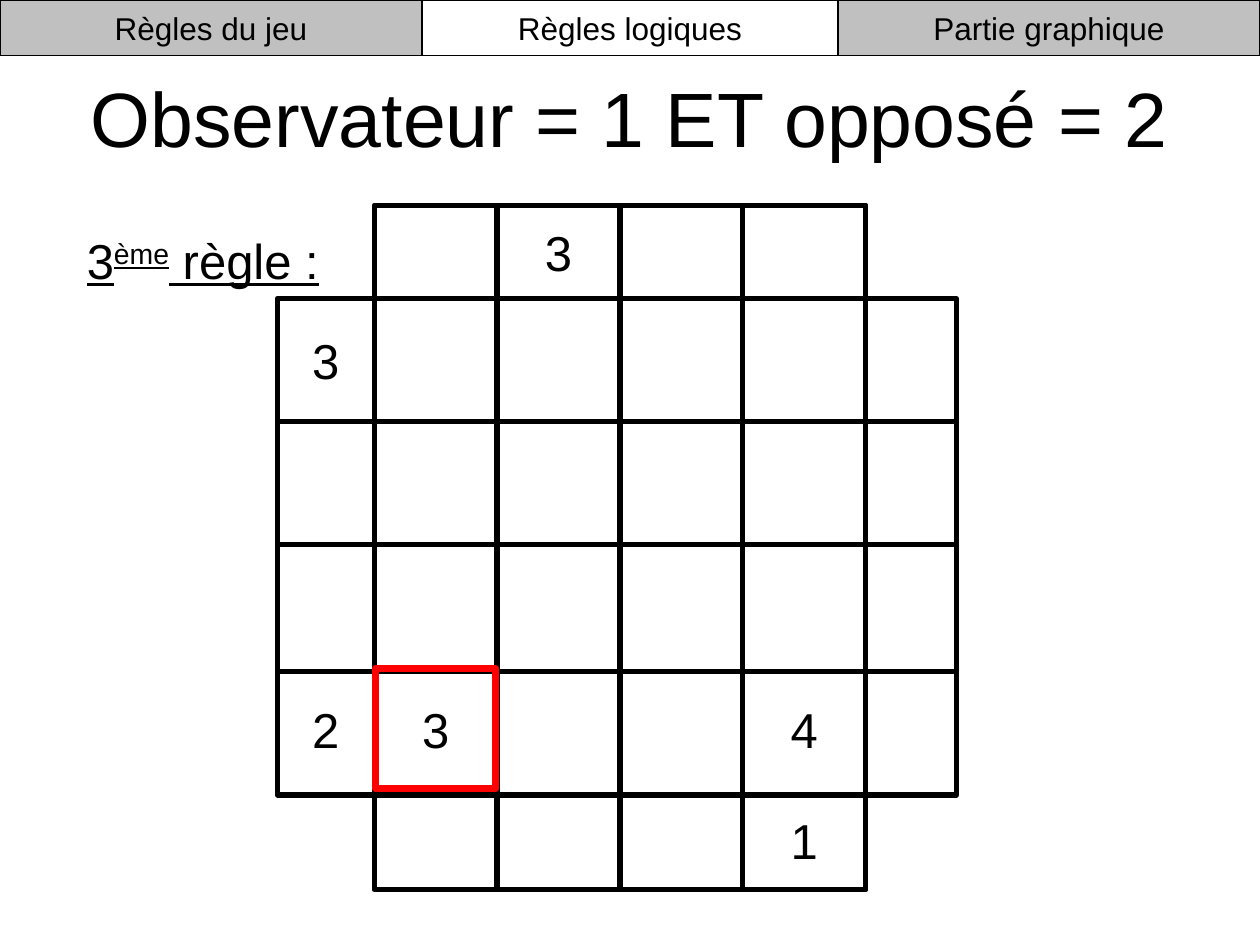
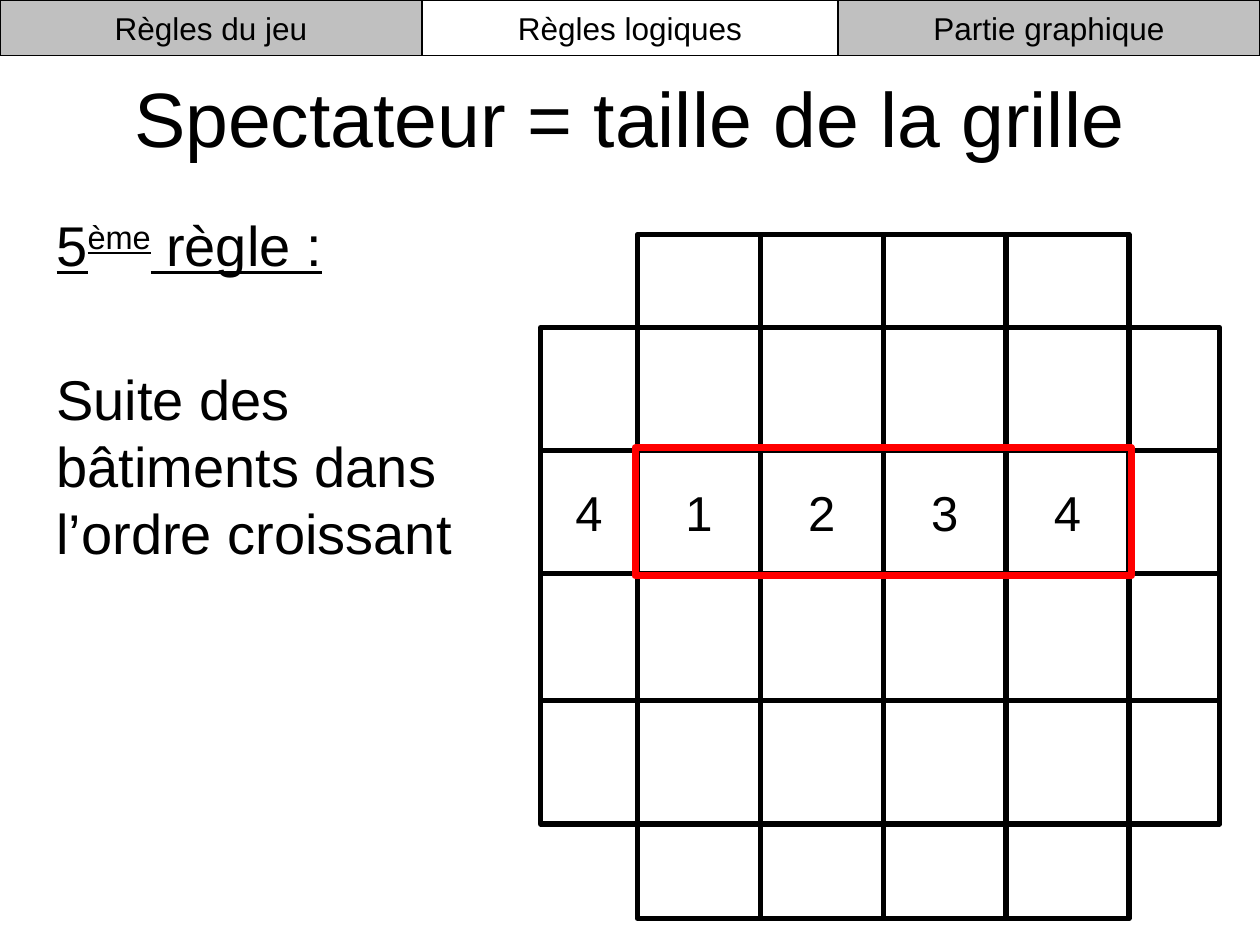
from lxml.etree import SubElement
from pptx import Presentation
from pptx.dml.color import RGBColor
from pptx.enum.shapes import MSO_CONNECTOR, MSO_SHAPE
from pptx.enum.text import MSO_ANCHOR, PP_ALIGN
from pptx.oxml.ns import qn
from pptx.util import Inches, Pt

FONT = "Arial"
BLACK, WHITE, GREY, RED = "000000", "FFFFFF", "C0C0C0", "FF0000"
DIGIT_SIZE = 28

GRID_SIZE = 4
CELL = 0.975
SIDE = 0.77
TOP = 0.74
INNER = GRID_SIZE * CELL
GRID_WIDTH = 5.39
GRID_HEIGHT = 5.43

TAB_HEIGHT = 0.44
TABS = [
    ("Règles logiques", 0, 10, WHITE),
    ("Règles du jeu", 0, 3.35, GREY),
    ("Partie graphique", 6.65, 3.35, GREY),
]


def color(value):
    return RGBColor.from_string(value)


def add_run(paragraph, text, size, underline=None, baseline=None):
    run = paragraph.add_run()
    run.text = text
    run.font.name = FONT
    run.font.size = Pt(size)
    run.font.color.rgb = color(BLACK)
    run.font.underline = underline
    if baseline:
        run.font._element.set("baseline", str(baseline * 1000))


def prepare_frame(shape, anchor, alignment):
    frame = shape.text_frame
    frame.word_wrap = True
    frame.vertical_anchor = anchor
    paragraph = frame.paragraphs[0]
    paragraph.alignment = alignment
    return paragraph


def add_text(slide, box, text, size, centred=False):
    shape = slide.shapes.add_textbox(*map(Inches, box))
    anchor = MSO_ANCHOR.MIDDLE if centred else MSO_ANCHOR.TOP
    alignment = PP_ALIGN.CENTER if centred else PP_ALIGN.LEFT
    paragraph = prepare_frame(shape, anchor, alignment)
    if text:
        add_run(paragraph, text, size)
    return paragraph


def add_rectangle(slide, box, line, width, fill=None, text="", size=DIGIT_SIZE):
    shape = slide.shapes.add_shape(MSO_SHAPE.RECTANGLE, *map(Inches, box))
    shape.shadow.inherit = False
    shape.line.color.rgb = color(line)
    shape.line.width = Pt(width)
    if fill:
        shape.fill.solid()
        shape.fill.fore_color.rgb = color(fill)
    else:
        shape.fill.background()
    if text:
        paragraph = prepare_frame(shape, MSO_ANCHOR.MIDDLE, PP_ALIGN.CENTER)
        add_run(paragraph, text, size)


def add_line(slide, start, end, width):
    ends = map(Inches, (*start, *end))
    line = slide.shapes.add_connector(MSO_CONNECTOR.STRAIGHT, *ends)
    line.line.color.rgb = color(BLACK)
    line.line.width = Pt(width)
    SubElement(line._element.spPr, qn("a:effectLst"))


def add_grid(slide, left, top):
    inner_top = top + TOP
    outer_left = left - SIDE
    boxes = [
        (left, top, INNER, GRID_HEIGHT),
        (left + CELL, top, CELL, GRID_HEIGHT),
        (left + 3 * CELL, top, CELL, GRID_HEIGHT),
        (outer_left, inner_top, GRID_WIDTH, INNER + 0.04),
        (outer_left, inner_top + CELL, GRID_WIDTH, CELL),
    ]
    for box in boxes:
        add_rectangle(slide, box, BLACK, 3)
    divider = top + 3.7
    add_line(slide, (outer_left, divider), (outer_left + GRID_WIDTH, divider), 3)


def band_centre(index, before, after):
    if index < 0:
        return -before / 2
    if index == GRID_SIZE:
        return INNER + after / 2
    return (index + 0.5) * CELL


def add_digit(slide, left, top, column, row, digit):
    inside = column in range(GRID_SIZE) and row in range(GRID_SIZE)
    width, height = (0.95, 0.95) if inside else (0.71, 0.57)
    x = left + band_centre(column, SIDE, GRID_WIDTH - SIDE - INNER)
    y = top + TOP + band_centre(row, TOP, GRID_HEIGHT - TOP - INNER)
    box = (x - width / 2, y - height / 2, width, height)
    add_text(slide, box, digit, DIGIT_SIZE, centred=True)


def add_highlight(slide, left, top, column, row, columns, margin, text=""):
    box = (
        left + column * CELL - margin,
        top + TOP + row * CELL - margin,
        columns * CELL + 2 * margin,
        CELL + 2 * margin,
    )
    add_rectangle(slide, box, RED, 4, text=text)


def add_rule_name(slide, box, number, size):
    paragraph = add_text(slide, box, "", size)
    add_run(paragraph, number, size, underline=True)
    add_run(paragraph, "ème", size, underline=True, baseline=30)
    add_run(paragraph, " règle :", size, underline=True)


def add_tabs(slide):
    for text, left, width, fill in TABS:
        add_rectangle(slide, (left, 0, width, TAB_HEIGHT), BLACK, 0.75, fill, text, 18)


def start_slide(presentation, title, grid, digits):
    slide = presentation.slides.add_slide(presentation.slide_layouts[6])
    add_text(slide, (0.5, 0.3, 9, 1.25), title, 44, centred=True)
    add_grid(slide, *grid)
    for column, row, digit in digits:
        add_digit(slide, *grid, column, row, digit)
    return slide


def add_third_rule(presentation):
    grid = (2.97, 1.63)
    digits = [(1, -1, "3"), (-1, 0, "3"), (3, 4, "1"), (-1, 3, "2"), (3, 3, "4")]
    slide = start_slide(presentation, "Observateur = 1 ET opposé = 2", grid, digits)
    add_rule_name(slide, (0.59, 1.78, 2.52, 0.57), "3", 28)
    add_highlight(slide, *grid, column=0, row=3, columns=1, margin=-0.01, text="3")
    add_tabs(slide)


def add_fifth_rule(presentation):
    grid = (5.06, 1.86)
    digits = [(-1, 1, "4")] + [(i, 1, str(i + 1)) for i in range(GRID_SIZE)]
    slide = start_slide(presentation, "Spectateur = taille de la grille", grid, digits)
    add_rule_name(slide, (0.35, 1.62, 2.52, 0.64), "5", 32)
    sentence = "Suite des bâtiments dans l’ordre croissant"
    add_text(slide, (0.35, 2.84, 3.54, 1.7), sentence, 32)
    add_highlight(slide, *grid, column=0, row=1, columns=GRID_SIZE, margin=0.02)
    add_tabs(slide)


def main():
    presentation = Presentation()
    presentation.slide_width = Inches(10)
    presentation.slide_height = Inches(7.5)
    add_third_rule(presentation)
    add_fifth_rule(presentation)
    presentation.save("out.pptx")


if __name__ == "__main__":
    main()
